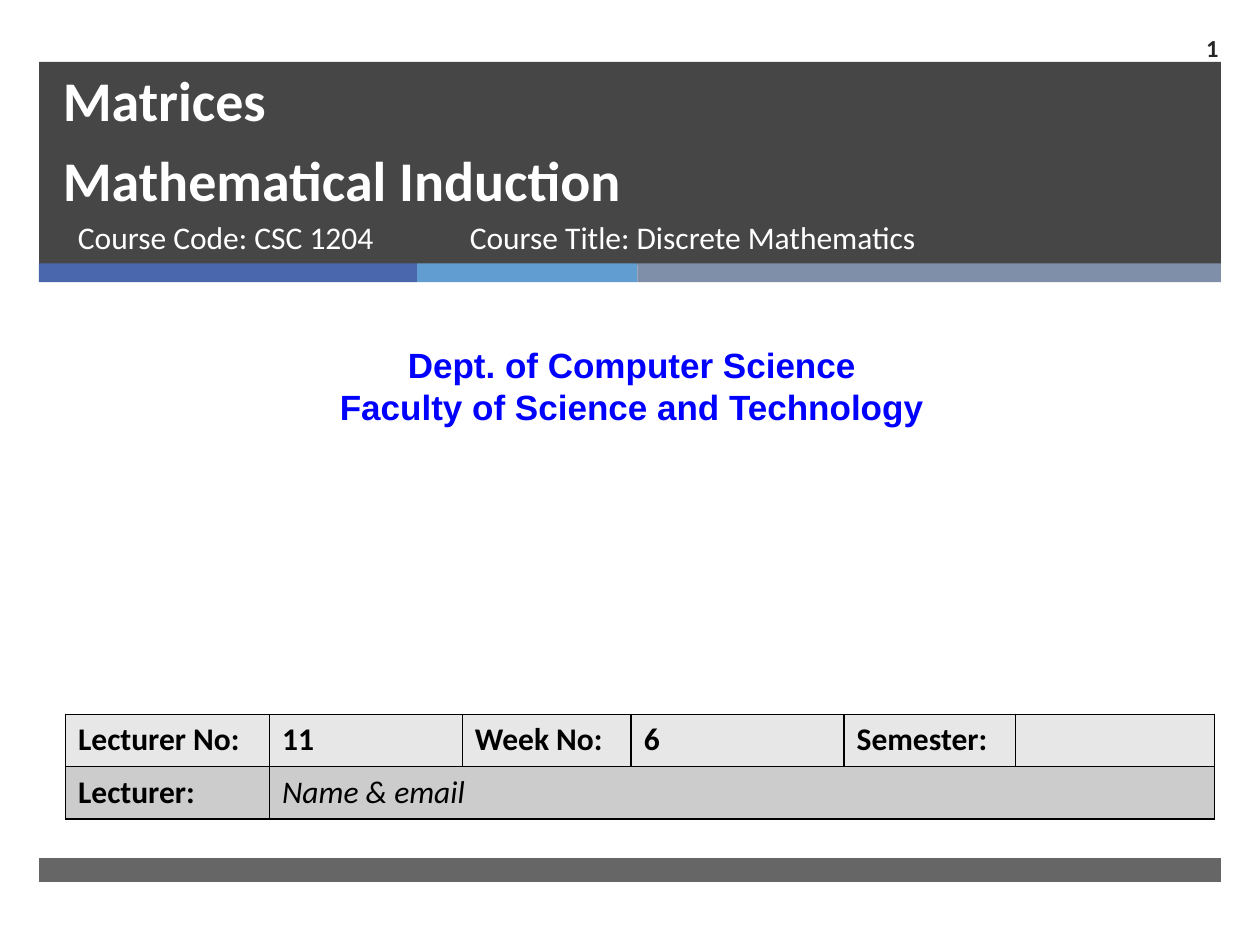
from dataclasses import dataclass
from itertools import accumulate

from lxml.etree import SubElement
from pptx import Presentation
from pptx.dml.color import RGBColor
from pptx.enum.shapes import MSO_SHAPE as Shape
from pptx.enum.text import MSO_ANCHOR as Anchor, PP_ALIGN as Align
from pptx.oxml.ns import qn
from pptx.util import Inches, Pt


@dataclass(frozen=True)
class Theme:
    dark: str = "262626"
    white: str = "FFFFFF"
    black: str = "000000"
    link_blue: str = "0000FF"
    stripes: tuple = ("4A66AC", "629DD1", "7F8FA9")
    rows: tuple = ("E7E7E7", "CCCCCC")
    body_font: str = "Calibri"
    department_font: str = "Arial"
    title_size: int = 32
    title_spacing: int = 46
    department_size: int = 20
    body_size: int = 18
    number_size: int = 14


@dataclass(frozen=True)
class Box:
    left: float
    top: float
    width: float
    height: float

    def region(self, left, top, width, height):
        return Box(self.left + left, self.top + top, width, height)

    def lengths(self):
        return [Inches(cells * CELL) for cells in (self.left, self.top, self.width, self.height)]


THEME = Theme()
CELL = 0.1
COLUMNS, ROWS = 100, 75


def write_text(frame, text, size=THEME.body_size, color=THEME.white, font=THEME.body_font,
               bold=False, italic=False, align=Align.LEFT, anchor=Anchor.TOP, spacing=None):
    frame.word_wrap = True
    frame.vertical_anchor = anchor
    frame.text = text
    for para in frame.paragraphs:
        para.alignment = align
        if spacing:
            para.line_spacing = Pt(spacing)
        for span in para.runs:
            span.font.size = Pt(size)
            span.font.name = font
            span.font.bold = bold
            span.font.italic = italic
            span.font.color.rgb = RGBColor.from_string(color)


def add_text(page, box, text, **style):
    write_text(page.shapes.add_textbox(*box.lengths()).text_frame, text, **style)


def add_band(page, box, color, opacity=100):
    band = page.shapes.add_shape(Shape.RECTANGLE, *box.lengths())
    band.shadow.inherit = False
    band.line.fill.background()
    band.fill.solid()
    band.fill.fore_color.rgb = RGBColor.from_string(color)
    if opacity < 100:
        tint = band.element.spPr.find(qn("a:solidFill"))[0]
        SubElement(tint, qn("a:alpha"), val=str(opacity * 1000))


def add_borders(cell, color, width=1):
    properties = cell._tc.get_or_add_tcPr()
    for side in ("lnL", "lnR", "lnT", "lnB"):
        line = SubElement(properties, qn(f"a:{side}"), w=str(Pt(width)))
        fill = SubElement(line, qn("a:solidFill"))
        SubElement(fill, qn("a:srgbClr"), val=color)


def add_header(page, box):
    add_band(page, box, THEME.dark, opacity=85)
    widths = (30, 17.5, 46.3)
    lefts = accumulate(widths[:-1], initial=0)
    for left, width, color in zip(lefts, widths, THEME.stripes):
        add_band(page, box.region(left, box.height - 0.1, width, 1.5), color)
    add_text(page, box.region(0.9, 0.6, 85.4, 11.9), "Matrices\vMathematical Induction",
             size=THEME.title_size, bold=True, anchor=Anchor.BOTTOM, spacing=THEME.title_spacing)
    add_text(page, box.region(2.1, 11.9, 30.5, 5.3), "Course Code: CSC 1204")
    add_text(page, box.region(33.2, 11.9, 45.5, 5.3), "Course Title: Discrete Mathematics")


def add_department(page, box):
    add_text(page, box, "Dept. of Computer Science\nFaculty of Science and Technology",
             size=THEME.department_size, color=THEME.link_blue, font=THEME.department_font,
             bold=True, align=Align.CENTER)


def add_lecture_table(page, box):
    widths = (16.2, 15.3, 13.4, 16.9, 13.6, 15.8)
    texts = (
        ("Lecturer No:", "11", "Week No:", "6", "Semester:", ""),
        ("Lecturer:", "Name & email", "", "", "", ""),
    )
    table = page.shapes.add_table(len(texts), len(widths), *box.lengths()).table
    for column, width in zip(table.columns, widths):
        column.width = Inches(width * CELL)
    for row, line, color in zip(table.rows, texts, THEME.rows):
        for cell, text in zip(row.cells, line):
            is_hint = text == "Name & email"
            add_borders(cell, THEME.black)
            cell.fill.solid()
            cell.fill.fore_color.rgb = RGBColor.from_string(color)
            if text:
                write_text(cell.text_frame, text, color=THEME.black,
                           bold=not is_hint, italic=is_hint)
    table.cell(1, 1).merge(table.cell(1, len(widths) - 1))


def add_footer(page, box):
    add_band(page, box, THEME.dark, opacity=70)


def add_page_number(page, box):
    add_text(page, box, "1", size=THEME.number_size, color=THEME.dark, bold=True,
             align=Align.RIGHT, anchor=Anchor.MIDDLE)


def main():
    deck = Presentation()
    deck.slide_width = Inches(COLUMNS * CELL)
    deck.slide_height = Inches(ROWS * CELL)
    page = deck.slides.add_slide(deck.slide_layouts[6])
    add_header(page, Box(3.1, 4.9, 93.8, 16.1))
    add_footer(page, Box(3.1, 68.1, 93.8, 1.9))
    add_department(page, Box(0.8, 26.8, 98.7, 7.7))
    add_lecture_table(page, Box(5.2, 56.7, 91.2, 8.3))
    add_page_number(page, Box(90.8, 1.8, 6.9, 3.9))
    deck.save("out.pptx")


if __name__ == "__main__":
    main()
